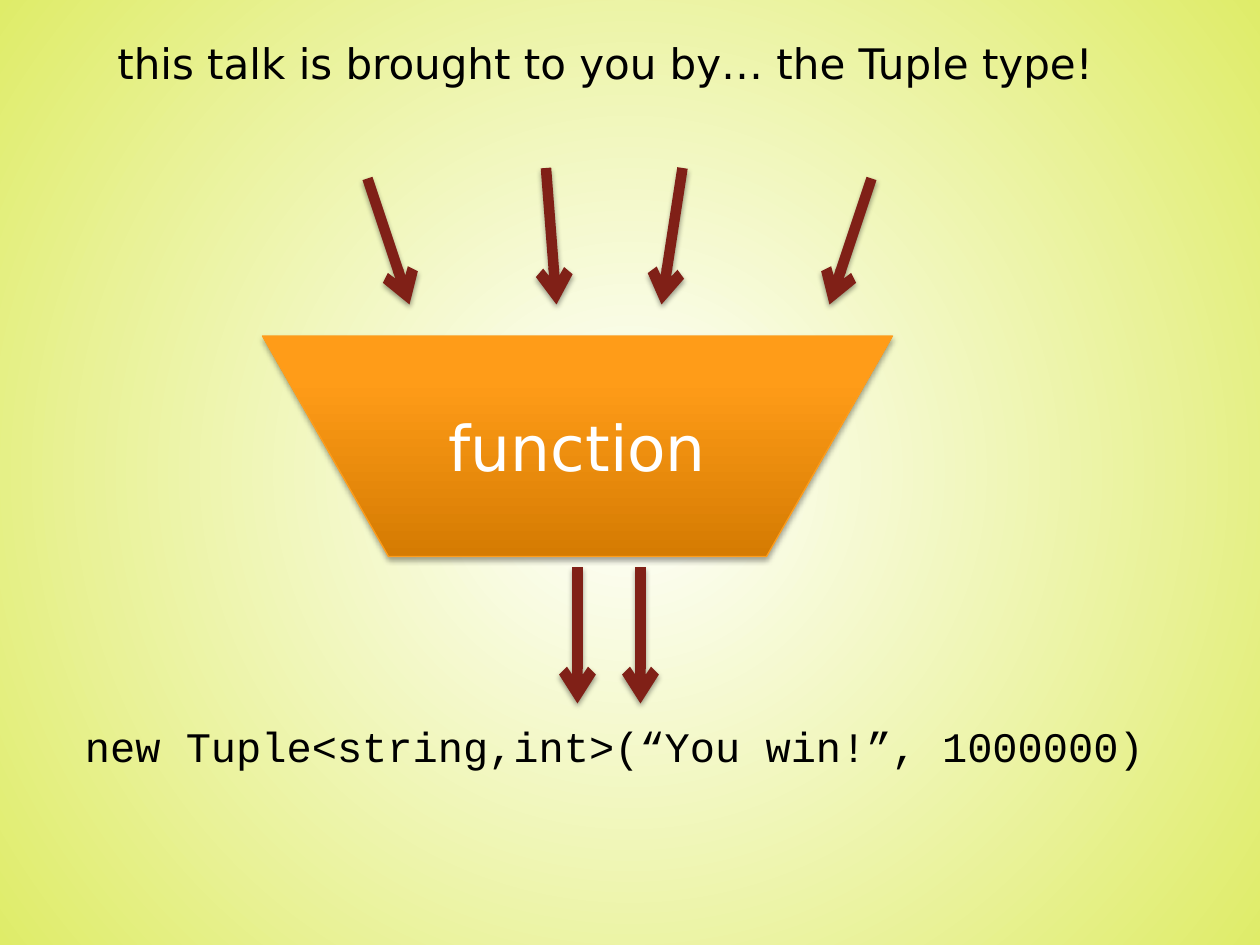
from lxml import etree
from pptx import Presentation
from pptx.dml.color import RGBColor
from pptx.enum.shapes import MSO_CONNECTOR, MSO_SHAPE
from pptx.enum.text import MSO_ANCHOR, MSO_AUTO_SIZE, PP_ALIGN
from pptx.oxml.ns import qn
from pptx.util import Inches, Pt

STRAIGHT = MSO_CONNECTOR.STRAIGHT
FUNNEL = MSO_SHAPE.FLOWCHART_MANUAL_OPERATION
LEFT, CENTER = PP_ALIGN.LEFT, PP_ALIGN.CENTER
MIDDLE = MSO_ANCHOR.MIDDLE
GROW = MSO_AUTO_SIZE.SHAPE_TO_FIT_TEXT

BLACK = RGBColor(0x00, 0x00, 0x00)
WHITE = RGBColor(0xFF, 0xFF, 0xFF)
LIME = RGBColor(0xDF, 0xEC, 0x69)
DARK_ORANGE = RGBColor(0xD5, 0x7B, 0x02)
ORANGE = RGBColor(0xFF, 0x9C, 0x18)
LIGHT_ORANGE = RGBColor(0xFF, 0x9D, 0x19)
EDGE_ORANGE = RGBColor(0xFD, 0x9D, 0x1D)
MAROON = RGBColor(0x80, 0x20, 0x17)

CELL = Inches(1) / 12
COLUMNS, ROWS = 120, 90

TITLE = {"size": Pt(24), "name": "DejaVu Sans"}
LABEL = {"size": Pt(36), "name": "DejaVu Sans"}
CODE = {"size": Pt(24), "name": "Courier New"}

INPUTS = [(35, 17, 39, 29), (52, 16, 53, 29), (65, 16, 63, 29), (83, 17, 79, 29)]
OUTPUTS = [(column, 54, column, 67) for column in (55, 61)]


def grid(*cells):
    return [round(cell * CELL) for cell in cells]


def add_element(parent, tag, **attributes):
    element = etree.SubElement(parent, qn(tag))
    for key, value in attributes.items():
        element.set(key, str(value))
    return element


def set_gradient(fill, owner, stops):
    fill.solid()
    solid = next(owner.iter(qn("a:solidFill")))
    gradient = etree.Element(qn("a:gradFill"), rotWithShape="1")
    stop_list = add_element(gradient, "a:gsLst")
    for share, color in stops:
        stop = add_element(stop_list, "a:gs", pos=share * 1000)
        add_element(stop, "a:srgbClr", val=color)
    solid.getparent().replace(solid, gradient)
    return gradient


def add_shadow(effects, opacity, distance):
    shadow = add_element(effects, "a:outerShdw", blurRad=Pt(3.1), dist=Pt(distance),
                         dir=5400000, rotWithShape=0)
    color = add_element(shadow, "a:srgbClr", val=BLACK)
    add_element(color, "a:alpha", val=opacity * 1000)


def write(frame, text, style, color, align):
    frame.word_wrap = True
    paragraph = frame.paragraphs[0]
    paragraph.alignment = align
    run = paragraph.add_run()
    run.text = text
    for key, value in style.items():
        setattr(run.font, key, value)
    run.font.color.rgb = color


def add_caption(slide, cells, text, style, align):
    frame = slide.shapes.add_textbox(*grid(*cells)).text_frame
    frame.auto_size = GROW
    write(frame, text, style, BLACK, align)


def add_arrow(shapes, cells):
    arrow = shapes.add_connector(STRAIGHT, *grid(*cells))
    arrow.line.width = Pt(6)
    arrow.line.color.rgb = MAROON
    properties = arrow._element.spPr
    add_element(properties.find(qn("a:ln")), "a:tailEnd", type="arrow")
    add_shadow(add_element(properties, "a:effectLst"), 38, 1.6)


def add_function(slide):
    function = slide.shapes.add_shape(FUNNEL, *grid(25, 32, 60, 21))
    properties = function._element.spPr
    gradient = set_gradient(function.fill, properties,
                            [(0, DARK_ORANGE), (80, ORANGE), (100, LIGHT_ORANGE)])
    add_element(gradient, "a:lin", ang=16200000, scaled=0)
    function.line.color.rgb = EDGE_ORANGE
    function.line.width = Pt(0.75)
    function.shadow.inherit = False
    add_shadow(properties.find(qn("a:effectLst")), 35, 1.8)
    function.text_frame.vertical_anchor = MIDDLE
    write(function.text_frame, "function", LABEL, WHITE, CENTER)


def paint_background(slide):
    gradient = set_gradient(slide.background.fill, slide._element, [(0, WHITE), (100, LIME)])
    glow = add_element(gradient, "a:path", path="circle")
    add_element(glow, "a:fillToRect", l=50000, t=50000, r=50000, b=50000)


def main():
    deck = Presentation()
    deck.slide_width, deck.slide_height = grid(COLUMNS, ROWS)
    slide = deck.slides.add_slide(deck.slide_layouts[6])
    paint_background(slide)
    add_caption(slide, (10, 3, 101, 6), "this talk is brought to you by… the Tuple type!", TITLE, LEFT)
    add_function(slide)
    inputs = slide.shapes.add_group_shape()
    for shapes, arrows in ((inputs.shapes, INPUTS), (slide.shapes, OUTPUTS)):
        for cells in arrows:
            add_arrow(shapes, cells)
    add_caption(slide, (2, 68, 113, 6), "new Tuple<string,int>(“You win!”, 1000000)", CODE, CENTER)
    deck.save("out.pptx")


if __name__ == "__main__":
    main()
